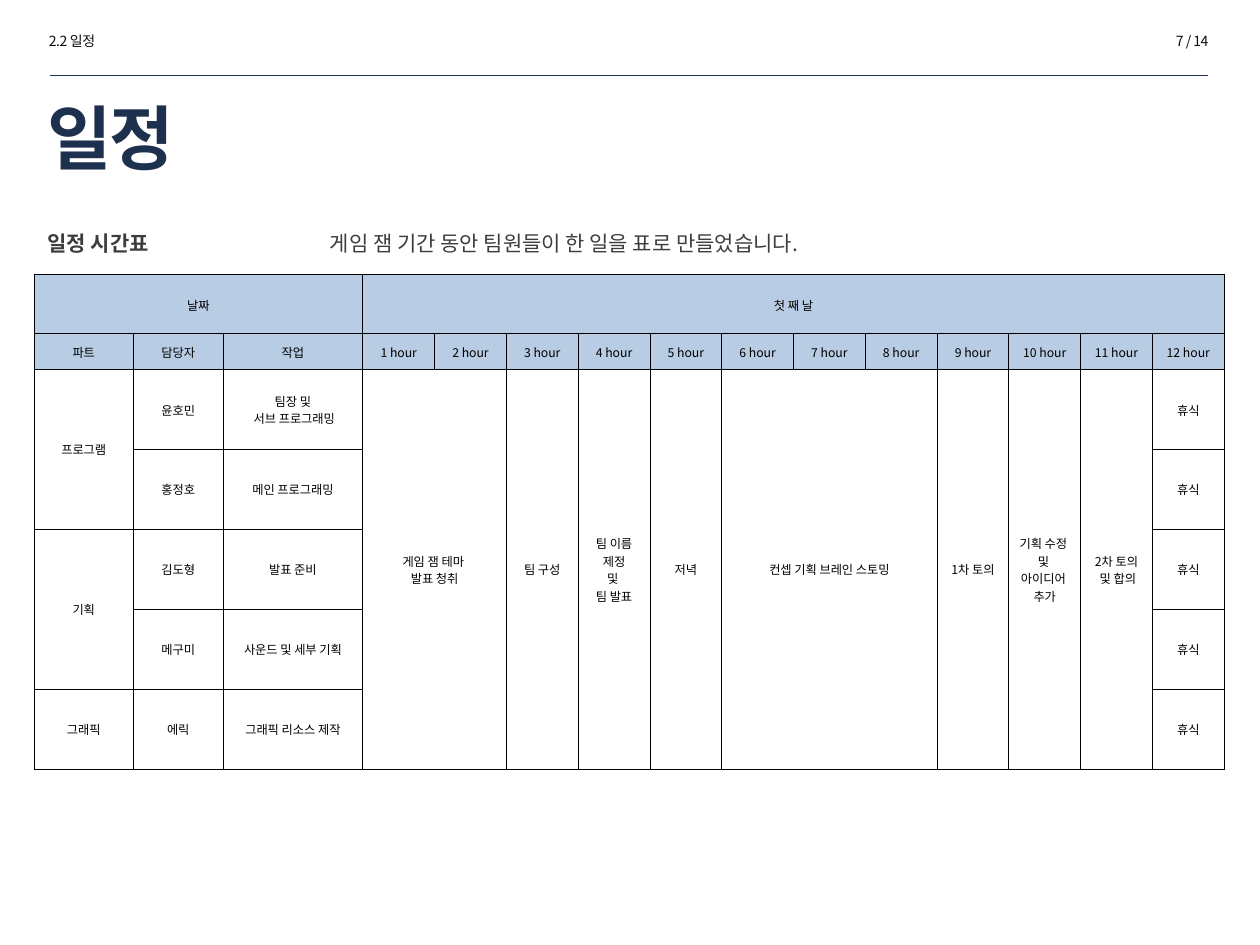
"""Build the schedule slide with its first-day timetable."""
from dataclasses import dataclass

import pptx
import pptx.dml.color
import pptx.enum.shapes
import pptx.enum.text
import pptx.oxml
import pptx.oxml.ns
import pptx.util
from pptx.util import Inches

FONT = "Noto Sans CJK KR"
COLORS = {
    "label": "0D0D0D", "body": "3D3C3E", "title": "1D314E", "rule": "1C314E",
    "header": "B8CCE4", "cell": "000000",
}
NAMESPACE = pptx.oxml.ns.nsdecls("a")
ALIGN = pptx.enum.text.PP_ALIGN
ANCHOR = pptx.enum.text.MSO_ANCHOR


@dataclass
class Caption:
    text: str
    left: float
    top: float
    width: float
    height: float
    size: float
    color: str
    bold: bool = False
    spacing: float = 0
    align: ALIGN = ALIGN.LEFT
    grows: bool = False


@dataclass
class Entry:
    row: int
    column: int
    text: str
    rows: int = 1
    columns: int = 1


def rgb(color: str) -> pptx.dml.color.RGBColor:
    return pptx.dml.color.RGBColor.from_string(COLORS[color])


def format_paragraph(paragraph, size: float, color: str, align: ALIGN,
                     bold: bool = False, spacing: float = 0) -> None:
    paragraph.alignment = align
    font = paragraph.font
    font.size = pptx.util.Pt(size)
    font.bold = bold
    font.color.rgb = rgb(color)
    font.name = FONT
    properties = paragraph._p.pPr.find(pptx.oxml.ns.qn("a:defRPr"))
    properties.append(pptx.oxml.parse_xml(f'<a:ea {NAMESPACE} typeface="{FONT}"/>'))
    if spacing:
        properties.set("spc", str(round(spacing * 100)))


def write_caption(shape, caption: Caption) -> None:
    shape.left, shape.top = Inches(caption.left), Inches(caption.top)
    shape.width, shape.height = Inches(caption.width), Inches(caption.height)
    frame = shape.text_frame
    frame.text = caption.text
    frame.word_wrap = True
    fit = pptx.enum.text.MSO_AUTO_SIZE
    frame.auto_size = fit.SHAPE_TO_FIT_TEXT if caption.grows else fit.NONE
    format_paragraph(frame.paragraphs[0], caption.size, caption.color,
                     caption.align, caption.bold, caption.spacing)


def format_cell(cell, filled: bool) -> None:
    cell.margin_left = cell.margin_top = cell.margin_right = Inches(0.01)
    cell.margin_bottom = 0
    cell.vertical_anchor = ANCHOR.MIDDLE
    for side in ("lnL", "lnR", "lnT", "lnB"):
        cell._tc.get_or_add_tcPr().append(pptx.oxml.parse_xml(
            f'<a:{side} {NAMESPACE} w="6350"><a:solidFill>'
            f'<a:srgbClr val="{COLORS["cell"]}"/></a:solidFill></a:{side}>'))
    if filled:
        cell.fill.solid()
        cell.fill.fore_color.rgb = rgb("header")
    else:
        cell.fill.background()
    format_paragraph(cell.text_frame.paragraphs[0], 7, "cell", ALIGN.CENTER)


def draw_timetable(slide, entries: list[Entry]) -> None:
    widths = [0.79, 0.71, 1.11] + [0.57] * 12
    heights = [0.47, 0.28] + [0.635] * 5
    timetable = slide.shapes.add_table(
        len(heights), len(widths), Inches(0.27), Inches(2.18),
        Inches(sum(widths)), Inches(sum(heights))).table
    timetable.first_row = timetable.horz_banding = False
    for column, width in zip(timetable.columns, widths):
        column.width = Inches(width)
    for row, height in zip(timetable.rows, heights):
        row.height = Inches(height)
    for entry in entries:
        cell = timetable.cell(entry.row, entry.column)
        cell.text = entry.text
        if entry.rows * entry.columns > 1:
            cell.merge(timetable.cell(entry.row + entry.rows - 1,
                                      entry.column + entry.columns - 1))
    for row in range(len(heights)):
        for column in range(len(widths)):
            format_cell(timetable.cell(row, column), filled=row < 2)


LABELS = [
    Caption("2.2 일정", 0.29, 0.21, 1.73, 0.24, 8, "label", spacing=-0.3, grows=True),
    Caption("일정 시간표", 0.28, 1.78, 1.93, 0.76, 12, "body", bold=True),
    Caption("게임 잼 기간 동안 팀원들이 한 일을 표로 만들었습니다. ",
            2.52, 1.78, 7.27, 0.76, 12, "body"),
    Caption("7 / 14", 7.96, 0.21, 1.73, 0.24, 8, "label", spacing=-0.3,
            align=ALIGN.RIGHT, grows=True),
]
TITLE = Caption("일정", 0.28, 0.67, 9.28, 0.83, 40, "title", bold=True, spacing=-1.5)

MEMBERS = [
    ("윤호민", "팀장 및\v 서브 프로그래밍"),
    ("홍정호", "메인 프로그래밍"),
    ("김도형", "발표 준비"),
    ("메구미", "사운드 및 세부 기획"),
    ("에릭", "그래픽 리소스 제작"),
]
ENTRIES = [
    Entry(0, 0, "날짜", columns=3),
    Entry(0, 3, "첫 째 날", columns=12),
    Entry(2, 0, "프로그램", rows=2),
    Entry(4, 0, "기획", rows=2),
    Entry(6, 0, "그래픽"),
    Entry(2, 3, "게임 잼 테마 \v발표 청취", 5, 2),
    Entry(2, 5, "팀 구성", 5),
    Entry(2, 6, "팀 이름\v 제정 \v및 \v팀 발표", 5),
    Entry(2, 7, "저녁", 5),
    Entry(2, 8, "컨셉 기획 브레인 스토밍", 5, 3),
    Entry(2, 11, "1차 토의", 5),
    Entry(2, 12, "기획 수정 \v및 \v아이디어 \v추가", 5),
    Entry(2, 13, "2차 토의\v 및 합의", 5),
]
HEADINGS = ["파트", "담당자", "작업"] + [f"{hour} hour" for hour in range(1, 13)]
ENTRIES += [Entry(1, column, heading) for column, heading in enumerate(HEADINGS)]
for member_row, (member, task) in enumerate(MEMBERS, start=2):
    ENTRIES += [Entry(member_row, 1, member), Entry(member_row, 2, task),
                Entry(member_row, 14, "휴식")]

presentation = pptx.Presentation()
presentation.slide_width, presentation.slide_height = Inches(10), Inches(7.5)
schedule = presentation.slides.add_slide(presentation.slide_layouts[5])

for label in LABELS:
    write_caption(schedule.shapes.add_textbox(0, 0, 0, 0), label)

header_rule = schedule.shapes.add_connector(
    pptx.enum.shapes.MSO_CONNECTOR.STRAIGHT,
    Inches(0.4), Inches(0.6), Inches(9.59), Inches(0.6))
header_rule.line.color.rgb = rgb("rule")
header_rule.line.width = pptx.util.Pt(0.25)
header_rule._element.spPr.append(pptx.oxml.parse_xml(f"<a:effectLst {NAMESPACE}/>"))

write_caption(schedule.shapes.title, TITLE)
schedule.shapes.title.text_frame.vertical_anchor = ANCHOR.MIDDLE
draw_timetable(schedule, ENTRIES)

presentation.save("out.pptx")
